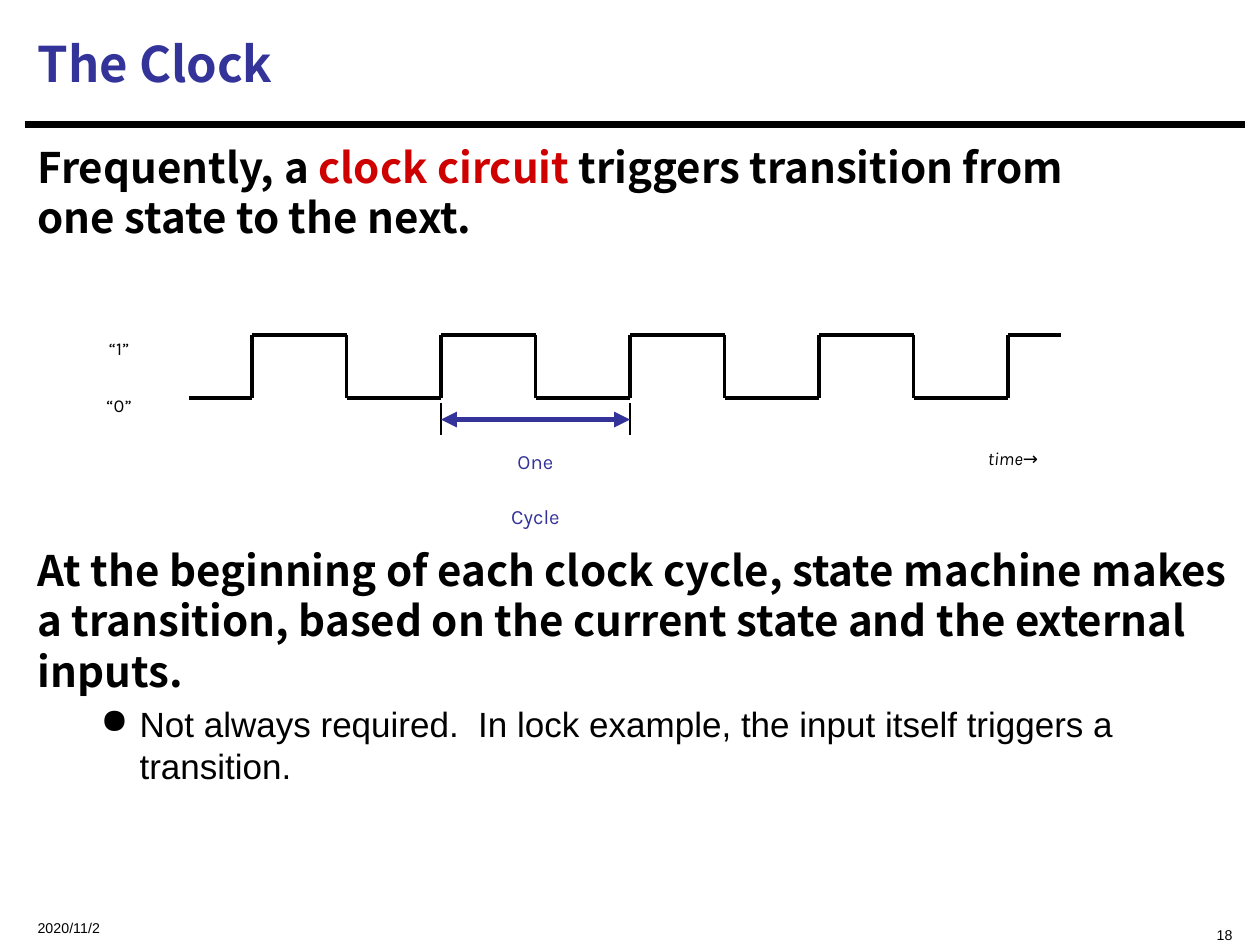
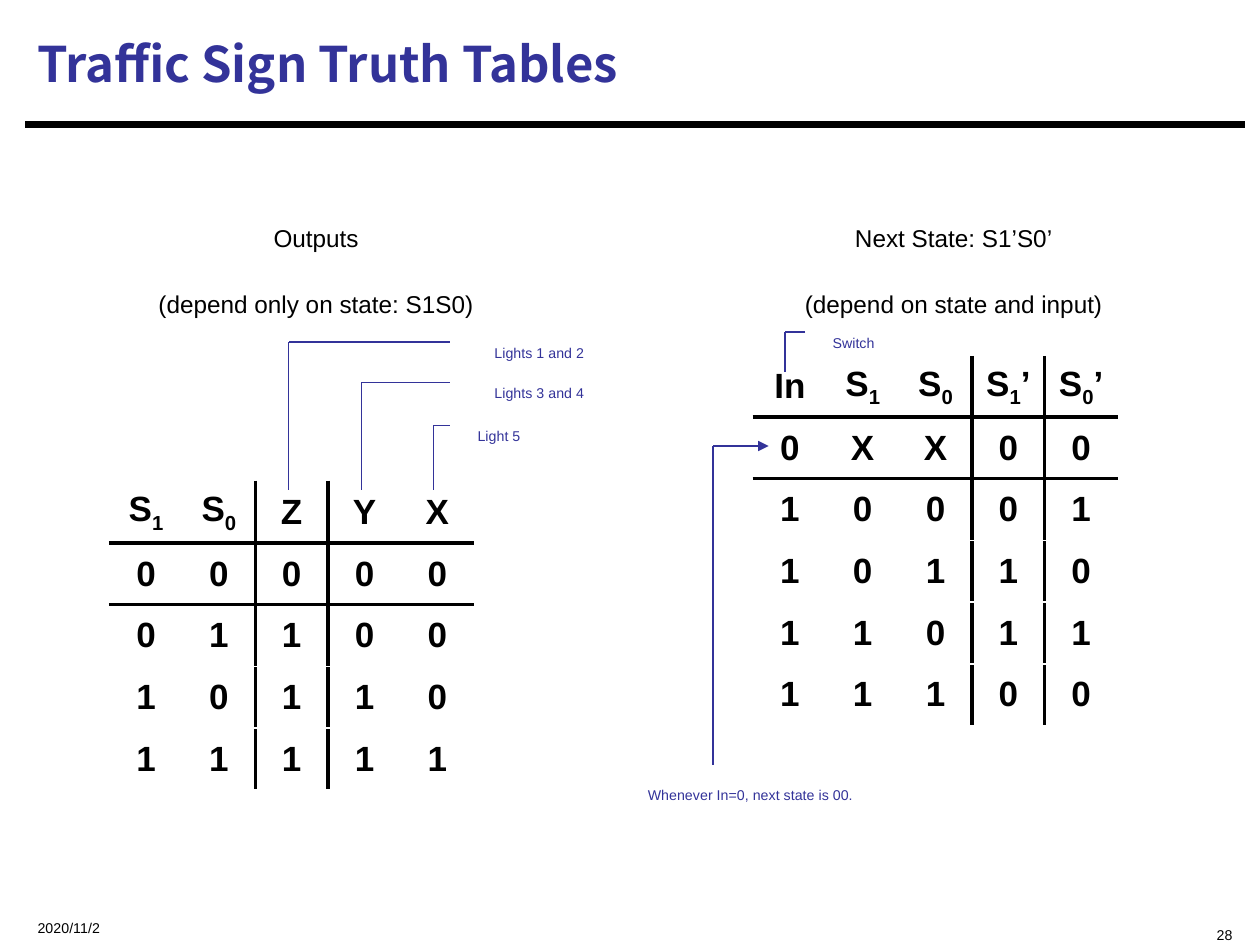
from dataclasses import dataclass, replace

from pptx import Presentation
from pptx.dml.color import RGBColor
from pptx.enum.shapes import MSO_CONNECTOR
from pptx.enum.text import MSO_ANCHOR, PP_ALIGN
from pptx.oxml import parse_xml
from pptx.oxml.ns import nsdecls, qn
from pptx.util import Inches, Pt
from lxml.etree import SubElement

BLACK = RGBColor(0x00, 0x00, 0x00)
INDIGO = RGBColor(0x33, 0x33, 0x99)
HEADING_FONT = "Noto Sans CJK SC"


@dataclass(frozen=True)
class Style:
    size: float
    font: str = "Arial"
    color: RGBColor = BLACK
    bold: bool = False
    italic: bool = False
    lowered: bool = True
    align: PP_ALIGN = PP_ALIGN.CENTER
    gap: float = 0.2


@dataclass(frozen=True)
class Theme:
    ink: RGBColor = BLACK
    accent: RGBColor = INDIGO
    highlight: RGBColor = RGBColor(0xCE, 0x00, 0x00)
    title: Style = Style(28, HEADING_FONT, INDIGO, True, lowered=False, align=PP_ALIGN.LEFT, gap=0)
    body: Style = Style(24, HEADING_FONT, bold=True, lowered=False, align=PP_ALIGN.LEFT)
    bullet: Style = Style(20, lowered=False, align=PP_ALIGN.LEFT)
    footer: Style = Style(14, align=PP_ALIGN.LEFT)
    caption: Style = Style(24)
    callout: Style = Style(14, color=INDIGO)
    level: Style = Style(18, "Karla")
    cycle: Style = Style(20, "Karla", INDIGO)
    cell: Style = Style(20, bold=True, lowered=False)
    rule: float = 3.75
    arrow: float = 3
    wave: float = 2.25
    hairline: float = 0.75


THEME = Theme()
GRID_COLUMNS, GRID_ROWS = 100, 75
LEFT_EDGE, RIGHT_EDGE = 2, 98.8


def grid(steps):
    return Inches(steps / 10)


def format_paragraph(paragraph, style):
    paragraph.alignment = style.align
    paragraph.space_before = Pt(style.size * style.gap)
    for run in paragraph.runs:
        font = run.font
        font.name, font.size = style.font, Pt(style.size)
        font.bold, font.italic = style.bold, style.italic
        font.color.rgb = style.color
        if style.lowered:
            lower(run)


def lower(run):
    run.font._element.set("baseline", "-25000")


def add_text(slide, box, lines, style, anchor=MSO_ANCHOR.TOP):
    textbox = slide.shapes.add_textbox(*map(grid, box))
    frame = textbox.text_frame
    frame.word_wrap = True
    frame.vertical_anchor = anchor
    frame.text = lines
    for paragraph in frame.paragraphs:
        format_paragraph(paragraph, style)
    return textbox


def add_line(slide, start, end, color, width, arrows=()):
    line = slide.shapes.add_connector(MSO_CONNECTOR.STRAIGHT, *map(grid, start + end))
    line.line.color.rgb = color
    line.line.width = Pt(width)
    properties = line._element.spPr
    for tip in arrows:
        SubElement(properties.find(qn("a:ln")), qn(f"a:{tip}")).set("type", "triangle")
    SubElement(properties, qn("a:effectLst"))
    return line


def add_page(deck, title, number):
    slide = deck.slides.add_slide(deck.slide_layouts[6])
    add_line(slide, (LEFT_EDGE, 9.9), (RIGHT_EDGE, 9.9), THEME.ink, THEME.rule)
    add_text(slide, (LEFT_EDGE, 71.7, 25, 2.5), "2020/11/2", THEME.footer, MSO_ANCHOR.MIDDLE)
    add_text(slide, (RIGHT_EDGE - 30, 71.7, 30, 2.5), number,
             replace(THEME.footer, align=PP_ALIGN.RIGHT))
    add_text(slide, (LEFT_EDGE, 0.8, 96.7, 8.4), title, THEME.title, MSO_ANCHOR.MIDDLE)
    return slide


def add_explanation(slide):
    frame = add_text(slide, (LEFT_EDGE, 10.7, 96.7, 59.9), "", THEME.body).text_frame
    trigger = frame.paragraphs[0]
    trigger.add_run().text = "Frequently, a "
    clock_circuit = trigger.add_run()
    clock_circuit.text = "clock circuit"
    trigger.add_run().text = " triggers transition from"
    trigger.add_line_break()
    trigger.add_run().text = "one state to the next."
    transition, exception = frame.add_paragraph(), frame.add_paragraph()
    transition.text = ("At the beginning of each clock cycle, state machine makes a transition, "
                       "based on the current state and the external inputs.")
    exception.text = ("Not always required.  In lock example, the input itself "
                      "triggers a transition.")
    styles = (THEME.body, THEME.body, THEME.bullet)
    for paragraph, style in zip(frame.paragraphs, styles):
        format_paragraph(paragraph, style)
        paragraph.line_spacing = Pt(style.size * 1.2)
    clock_circuit.font.color.rgb = THEME.highlight
    transition.space_before = Pt(THEME.body.size * 7.2)
    indent = exception._p.get_or_add_pPr()
    indent.set("marL", str(Inches(0.81)))
    indent.set("indent", str(Inches(-0.31)))
    SubElement(indent, qn("a:buChar")).set("char", "●")


def add_clock_wave(slide, high=26.6, low=31.6, half_cycle=7.5):
    edges = [20 + half_cycle * step for step in range(9)]
    stops = [15, *edges, 84.2]
    for index, (start, end) in enumerate(zip(stops, stops[1:])):
        level = high if index % 2 else low
        add_line(slide, (start, level), (end, level), THEME.ink, THEME.wave)
    for edge in edges:
        add_line(slide, (edge, high), (edge, low), THEME.ink, THEME.wave)
    cycle_start, cycle_end = edges[2], edges[4]
    for edge in (cycle_start, cycle_end):
        add_line(slide, (edge, 32), (edge, 34.5), THEME.ink, THEME.hairline)
    add_line(slide, (cycle_start, 33.3), (cycle_end, 33.3), THEME.accent, THEME.arrow,
             ("headEnd", "tailEnd"))
    add_text(slide, (6.9, 24.6, 5.1, 4), "“1”", THEME.level)
    add_text(slide, (6.9, 29.1, 5.1, 4), "“0”", THEME.level)
    add_text(slide, (75.8, 33.3, 9.2, 4), "time→", replace(THEME.level, italic=True))
    add_text(slide, (38, 33.3, 9, 7.7), "One\nCycle", THEME.cycle)


def set_borders(cell, sides):
    properties = cell._tc.get_or_add_tcPr()
    for position, side in enumerate(side for side in "LRTB" if side in sides):
        properties.insert(position, parse_xml(
            f'<a:ln{side} {nsdecls("a")} w="{Pt(THEME.wave)}"><a:solidFill>'
            f'<a:srgbClr val="{THEME.ink}"/></a:solidFill></a:ln{side}>'))


def fill_cell(cell, label):
    cell.fill.background()
    cell.vertical_anchor = MSO_ANCHOR.MIDDLE
    paragraph = cell.text_frame.paragraphs[0]
    indexed = label.startswith("S")
    parts = (label[0], label[1], label[2:]) if indexed else (label,)
    for part in filter(None, parts):
        paragraph.add_run().text = part
    format_paragraph(paragraph, THEME.cell)
    if indexed:
        lower(paragraph.runs[1])


def add_truth_table(slide, corner, rows, inputs, header_height=4.9):
    labels = [row.split() for row in rows]
    count = len(labels[0])
    height = header_height + 4.9 * (len(rows) - 1)
    table = slide.shapes.add_table(len(rows), count, *map(grid, (*corner, 28.9, height))).table
    table.first_row = table.horz_banding = False
    for column in table.columns:
        column.width = grid(28.9 / count)
    for row_index, row in enumerate(labels):
        table.rows[row_index].height = grid(4.9 if row_index else header_height)
        for column_index, label in enumerate(row):
            cell = table.cell(row_index, column_index)
            fill_cell(cell, label)
            sides = {0: "B", 1: "T"}.get(row_index, "")
            sides += {inputs - 1: "R", inputs: "L"}.get(column_index, "")
            set_borders(cell, sides)


def add_callout(slide, box, label, column, foot):
    note = add_text(slide, box, label, THEME.callout)
    middle = box[1] + box[3] / 2
    lead = add_line(slide, (box[0], middle), (column, middle), THEME.accent, THEME.hairline)
    lead.begin_connect(note, 1)
    add_line(slide, (column, middle), (column, foot), THEME.accent, THEME.hairline)


def add_outputs(slide):
    add_text(slide, (3.1, 15, 44, 9), "Outputs\n(depend only on state: S1S0)", THEME.caption)
    add_truth_table(slide, (8.7, 38.2), (
        "S1 S0 Z Y X",
        "0 0 0 0 0",
        "0 1 1 0 0",
        "1 0 1 1 0",
        "1 1 1 1 1",
    ), inputs=2)
    for top, width, lights, column in (
        (25.5, 14.2, "Lights 1 and 2", 22.9),
        (28.7, 14.2, "Lights 3 and 4", 28.7),
        (32.1, 7.8, "Light 5", 34.4),
    ):
        add_callout(slide, (35.7, top, width, 3.3), lights, column, 38.9)


def add_next_state(slide):
    add_text(slide, (54.3, 15, 42.8, 9), "Next State: S1’S0’\n(depend on state and input)",
             THEME.caption)
    add_truth_table(slide, (59.8, 28.3), (
        "In S1 S0 S1’ S0’",
        "0 X X 0 0",
        "1 0 0 0 1",
        "1 0 1 1 0",
        "1 1 0 1 1",
        "1 1 1 0 0",
    ), inputs=3, header_height=4.5)
    add_callout(slide, (63.9, 24.7, 7.7, 3.3), "Switch", 62.3, 29.5)
    add_text(slide, (44.6, 60.6, 29.9, 3.3), "Whenever In=0, next state is 00.", THEME.callout)
    add_line(slide, (56.6, 35.4), (61, 35.4), THEME.accent, THEME.hairline, ("tailEnd",))
    add_line(slide, (56.6, 35.4), (56.6, 60.7), THEME.accent, THEME.hairline)


def main():
    deck = Presentation()
    deck.slide_width, deck.slide_height = grid(GRID_COLUMNS), grid(GRID_ROWS)
    clock = add_page(deck, "The Clock", "18")
    add_explanation(clock)
    add_clock_wave(clock)
    traffic_sign = add_page(deck, "Traffic Sign Truth Tables", "28")
    add_outputs(traffic_sign)
    add_next_state(traffic_sign)
    deck.save("out.pptx")


if __name__ == "__main__":
    main()
